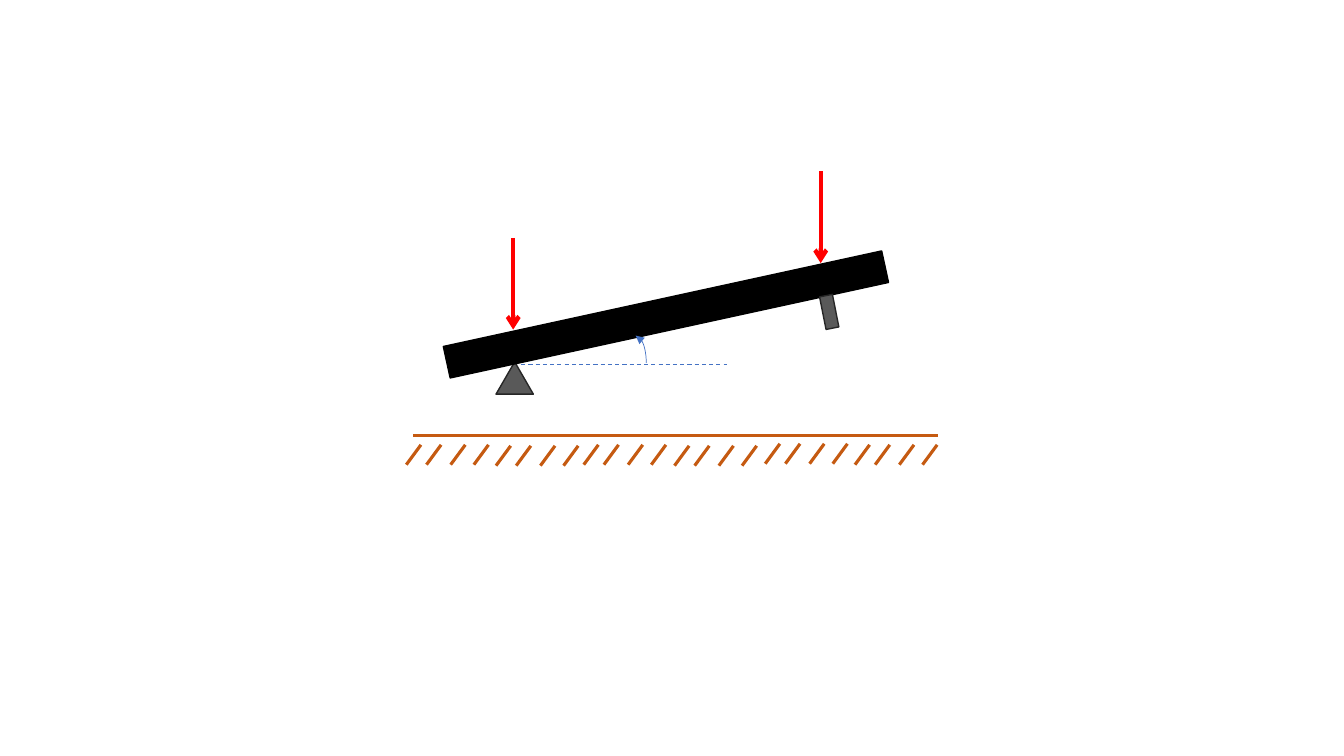
from lxml import etree
from pptx import Presentation
from pptx import util as u
from pptx.dml.color import RGBColor
from pptx.enum import dml, shapes
from pptx.oxml import ns

BLACK = RGBColor(0x00, 0x00, 0x00)
GREY = RGBColor(0x59, 0x59, 0x59)
DARK_GREY = RGBColor(0x26, 0x26, 0x26)
RED = RGBColor(0xFF, 0x00, 0x00)
BROWN = RGBColor(0xC5, 0x5A, 0x11)
BLUE = RGBColor(0x44, 0x72, 0xC4)

SUPPORT = {"color": DARK_GREY, "width": u.Pt(1)}
BEAM = {"color": BLACK, "width": u.Pt(1)}
FORCE = {"color": RED, "width": u.Pt(3)}
GROUND = {"color": BROWN, "width": u.Pt(2.25)}
LEVEL = {"color": BLUE, "width": u.Pt(0.75), "dash_style": dml.MSO_LINE.DASH}
ANGLE = {"color": BLUE, "width": u.Pt(0.5)}


class Diagram:
    """Draws on one slide; every length is in grid cells, ten to the inch."""

    CELL = u.Inches(0.1)

    def __init__(self, slide):
        self.shapes = slide.shapes

    def cells(self, *lengths):
        return [round(length * self.CELL) for length in lengths]

    def style_line(self, item, style, **ends):
        """Apply line formats; ends maps headEnd or tailEnd to an arrow type."""
        for name, value in style.items():
            if name == "color":
                item.line.color.rgb = value
            else:
                setattr(item.line, name, value)
        outline = item.line.fill and item.element.spPr.find(ns.qn("a:ln"))
        for end, kind in ends.items():
            etree.SubElement(outline, ns.qn(f"a:{end}"), type=kind)

    def line(self, start, finish, style, **ends):
        stroke = self.shapes.add_connector(
            shapes.MSO_CONNECTOR.STRAIGHT, *self.cells(*start, *finish))
        self.style_line(stroke, style, **ends)
        etree.SubElement(stroke.element.spPr, ns.qn("a:effectLst"))

    def body(self, preset, box, style, fill=None, rotation=0, group=None, **ends):
        owner = group.shapes if group else self.shapes
        part = owner.add_shape(preset, *self.cells(*box))
        part.rotation = rotation
        part.shadow.inherit = False
        if fill is None:
            part.fill.background()
        else:
            part.fill.solid()
            part.fill.fore_color.rgb = fill
        self.style_line(part, style, **ends)

    def hatching(self, left, bottom):
        """Draw one cluster of four slanted ground strokes."""
        for offset in (0, 2.0, 4.4, 6.7):
            x = left + offset
            self.line((x, bottom), (x + 1.45, bottom - 1.97), GROUND)


def main():
    prs = Presentation()
    prs.slide_width, prs.slide_height = u.Inches(13.33), u.Inches(7.5)
    diagram = Diagram(prs.slides.add_slide(prs.slide_layouts[6]))
    preset = shapes.MSO_SHAPE

    diagram.body(preset.ISOSCELES_TRIANGLE, (49.2, 35.9, 3.7, 3.2), SUPPORT, GREY)
    for x, top in ((50.9, 23.6), (81.4, 17.0)):
        diagram.line((x, top), (x, top + 9.1), FORCE, tailEnd="arrow")

    lever = diagram.shapes.add_group_shape()
    diagram.body(preset.RECTANGLE, (43.8, 29.6, 44.5, 3.2), BEAM, BLACK, 347.7, lever)
    diagram.body(preset.RECTANGLE, (81.6, 29.3, 1.3, 3.3), SUPPORT, GREY, 348.8, lever)

    diagram.line((41, 43.2), (93, 43.2), GROUND)
    diagram.line((51.7, 36.2), (72.1, 36.2), LEVEL)
    diagram.body(preset.ARC, (62, 33.3, 2.1, 5.4), ANGLE, headEnd="triangle")
    for left, bottom in ((40.3, 46.1), (49.2, 46.2), (57.9, 46.1),
                         (66.9, 46.2), (75.9, 46.0), (84.8, 46.1)):
        diagram.hatching(left, bottom)

    prs.save("out.pptx")


if __name__ == "__main__":
    main()
